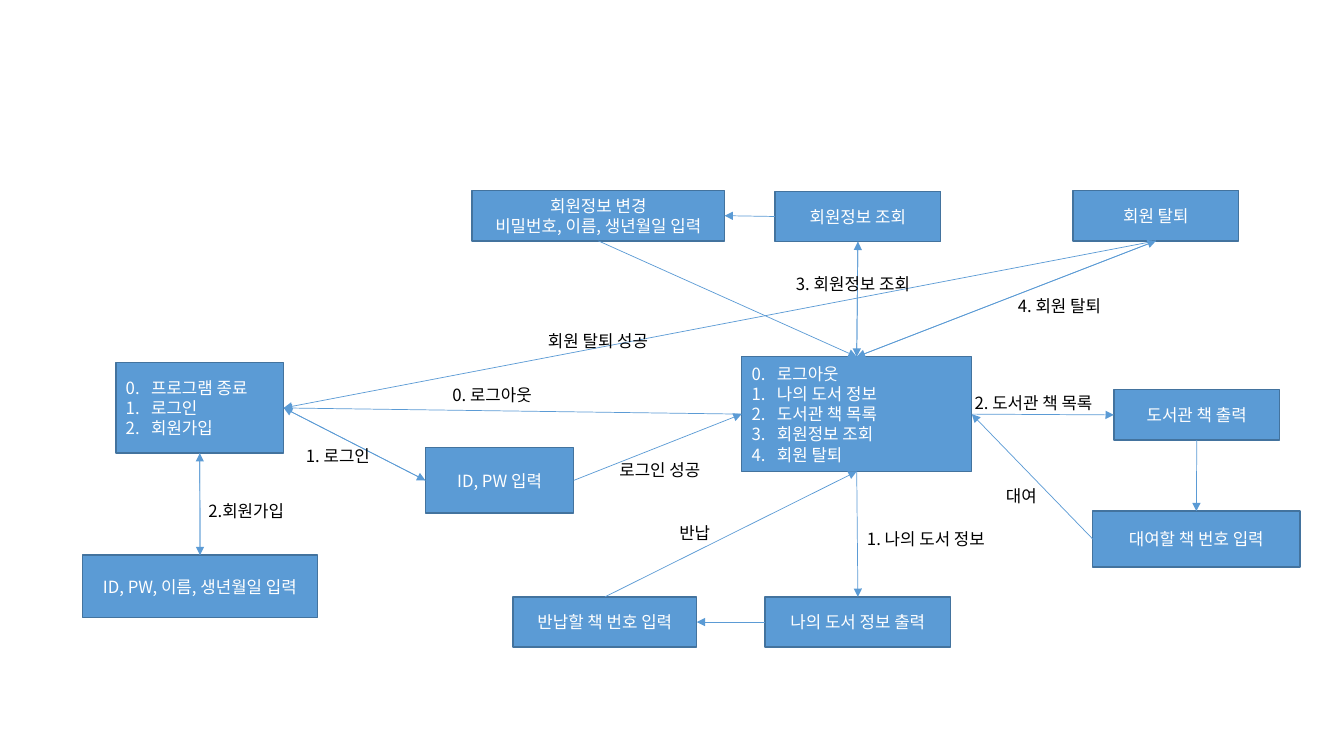
"""Draw the screen flow of a library lending program."""
import pptx
import pptx.util
import pptx.dml.color
import pptx.enum.shapes
import pptx.enum.text
import pptx.oxml.ns
import lxml.etree

Cm, Pt = pptx.util.Cm, pptx.util.Pt
RGB = pptx.dml.color.RGBColor.from_string
qn = pptx.oxml.ns.qn
ALIGN = pptx.enum.text.PP_ALIGN
FONT = "Noto Sans CJK KR"
COLORS = {"fill": "5B9BD5", "edge": "43739E", "light": "FFFFFF", "dark": "000000"}
TOP, LEFT, BOTTOM, RIGHT = range(4)

BOXES = {
    "start": (2.92, 9.14, 4.23, 2.28, ["0.\t프로그램 종료", "로그인", "회원가입"]),
    "login": (10.72, 11.28, 3.74, 1.65, ["ID, PW 입력"]),
    "join": (2.08, 13.99, 5.92, 1.57, ["ID, PW, 이름, 생년월일 입력"]),
    "menu": (18.69, 8.99, 5.8, 2.89,
             ["0.\t로그아웃", "나의 도서 정보", "도서관 책 목록", "회원정보 조회", "회원 탈퇴"]),
    "mine": (19.28, 15.04, 4.68, 1.27, ["나의 도서 정보 출력"]),
    "books": (28.07, 9.82, 4.18, 1.27, ["도서관 책 출력"]),
    "rent": (27.54, 12.88, 5.22, 1.41, ["대여할 책 번호 입력"]),
    "give": (12.93, 15.04, 4.63, 1.27, ["반납할 책 번호 입력"]),
    "view": (19.53, 4.82, 4.18, 1.27, ["회원정보 조회"]),
    "edit": (11.9, 4.8, 6.36, 1.27, ["회원정보 변경", "비밀번호, 이름, 생년월일 입력"]),
    "quit": (27.04, 4.8, 4.18, 1.27, ["회원 탈퇴"]),
}
LISTS = ("start", "menu")

FLOWS = [
    ("start", RIGHT, "login", LEFT),
    ("login", LEFT, "start", RIGHT),
    ("start", BOTTOM, "join", TOP),
    ("join", TOP, "start", BOTTOM),
    ("login", RIGHT, "menu", LEFT),
    ("menu", LEFT, "start", RIGHT),
    ("menu", BOTTOM, "mine", TOP),
    ("mine", LEFT, "give", RIGHT),
    ("give", TOP, "menu", BOTTOM),
    ("menu", RIGHT, "books", LEFT),
    ("books", BOTTOM, "rent", TOP),
    ("rent", LEFT, "menu", RIGHT),
    ("menu", TOP, "view", BOTTOM),
    ("view", BOTTOM, "menu", TOP),
    ("view", LEFT, "edit", RIGHT),
    ("edit", BOTTOM, "menu", TOP),
    ("menu", TOP, "quit", BOTTOM),
    ("quit", BOTTOM, "menu", TOP),
    ("quit", BOTTOM, "start", RIGHT),
]

LABELS = [
    (7.46, 11.1, 2.29, "1. 로그인"),
    (5, 12.5, 2.54, "2.회원가입"),
    (11.15, 9.57, 2.69, "0. 로그아웃"),
    (15.36, 11.47, 2.79, "로그인 성공"),
    (24.31, 9.78, 3.87, "2. 도서관 책 목록"),
    (25.1, 12.12, 1.37, "대여"),
    (16.87, 13.06, 1.37, "반납"),
    (21.6, 13.2, 3.87, "1. 나의 도서 정보"),
    (19.81, 6.78, 3.71, "3. 회원정보 조회"),
    (25.4, 7.34, 2.85, "4. 회원 탈퇴"),
    (13.56, 8.2, 3.38, "회원 탈퇴 성공"),
]


def write(frame, lines, color, align):
    """Fill a text frame and format its runs."""
    frame.text = "\n".join(lines)
    for para in frame.paragraphs:
        para.alignment = align
        for run in para.runs:
            run.font.size = Pt(12)
            run.font.color.rgb = RGB(COLORS[color])
            run.font.name = FONT
            props = run.font._element
            lxml.etree.SubElement(props, qn("a:ea"), typeface=FONT)


deck = pptx.Presentation()
deck.slide_width, deck.slide_height = Cm(33.87), Cm(19.05)
slide = deck.slides.add_slide(deck.slide_layouts[6])
shapes = slide.shapes

nodes = {}
for name, (left, top, width, height, lines) in BOXES.items():
    box = shapes.add_shape(pptx.enum.shapes.MSO_SHAPE.RECTANGLE,
                           Cm(left), Cm(top), Cm(width), Cm(height))
    box.shadow.inherit = False
    box.fill.solid()
    box.fill.fore_color.rgb = RGB(COLORS["fill"])
    box.line.color.rgb = RGB(COLORS["edge"])
    box.line.width = Pt(1)
    frame = box.text_frame
    frame.vertical_anchor = pptx.enum.text.MSO_ANCHOR.MIDDLE
    write(frame, lines, "light", ALIGN.LEFT if name in LISTS else ALIGN.CENTER)
    if name in LISTS:
        for rank, para in enumerate(frame.paragraphs):
            props = para._p.get_or_add_pPr()
            props.set("marL", str(Cm(0.64)))
            props.set("indent", str(Cm(-0.64)))
            if rank:
                lxml.etree.SubElement(props, qn("a:buFont"), typeface="+mj-lt")
                lxml.etree.SubElement(props, qn("a:buAutoNum"), type="arabicPeriod")
    nodes[name] = box

for source, out, target, into in FLOWS:
    arrow = shapes.add_connector(pptx.enum.shapes.MSO_CONNECTOR.STRAIGHT, 0, 0, 0, 0)
    arrow.begin_connect(nodes[source], out)
    arrow.end_connect(nodes[target], into)
    arrow.line.color.rgb = RGB(COLORS["fill"])
    arrow.line.width = Pt(0.5)
    lxml.etree.SubElement(arrow.line._get_or_add_ln(), qn("a:tailEnd"), type="triangle")
    lxml.etree.SubElement(arrow._element.spPr, qn("a:effectLst"))

for left, top, width, text in LABELS:
    label = shapes.add_textbox(Cm(left), Cm(top), Cm(width), Cm(0.77))
    label.text_frame.word_wrap = False
    label.text_frame.auto_size = pptx.enum.text.MSO_AUTO_SIZE.SHAPE_TO_FIT_TEXT
    write(label.text_frame, [text], "dark", ALIGN.LEFT)

deck.save("out.pptx")
